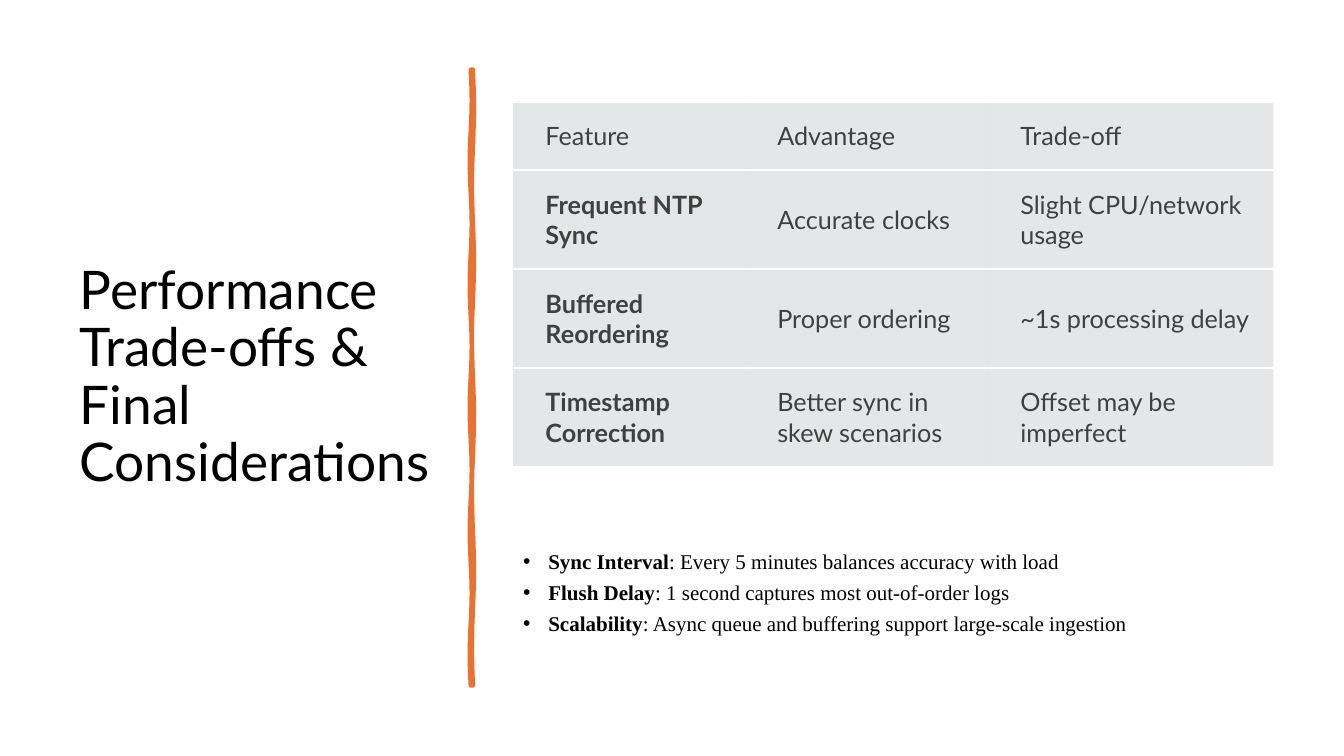
from math import pi, sin

from lxml import etree
from pptx import Presentation
from pptx.dml.color import RGBColor
from pptx.enum.text import MSO_ANCHOR, MSO_AUTO_SIZE, PP_ALIGN
from pptx.oxml import parse_xml
from pptx.oxml.ns import qn
from pptx.util import Inches, Pt

BLACK = RGBColor(0x00, 0x00, 0x00)
GREY = RGBColor(0x40, 0x40, 0x40)
ORANGE = RGBColor(0xE9, 0x71, 0x32)
SILVER = RGBColor(0xB4, 0xBC, 0xBE)
MIDDLE, TOP = MSO_ANCHOR.MIDDLE, MSO_ANCHOR.TOP
LEFT = PP_ALIGN.LEFT
NO_FIT = MSO_AUTO_SIZE.NONE
NS = "http://schemas.openxmlformats.org/drawingml/2006/main"

ROWS = [
    ("Feature", "Advantage", "Trade-off"),
    ("Frequent NTP Sync", "Accurate clocks", "Slight CPU/network usage"),
    ("Buffered Reordering", "Proper ordering", "~1s processing delay"),
    ("Timestamp Correction", "Better sync in skew scenarios",
     "Offset may be imperfect"),
]
NOTES = [
    ("Sync Interval", "Every 5 minutes balances accuracy with load"),
    ("Flush Delay", "1 second captures most out-of-order logs"),
    ("Scalability",
     "Async queue and buffering support large-scale ingestion"),
]


def assign(item, values):
    for key, value in values.items():
        setattr(item, key, value)


def add_run(para, text, name, size, color, bold=False):
    run = para.add_run()
    run.text = text
    assign(run.font, {"name": name, "size": Pt(size), "bold": bold})
    run.font.color.rgb = color


def add_title(slide, box):
    title = slide.shapes.title
    assign(title, dict(zip(("left", "top", "width", "height"),
                           map(Inches, box))))
    frame = title.text_frame
    assign(frame, {"vertical_anchor": MIDDLE, "word_wrap": True,
                   "auto_size": NO_FIT})
    para = frame.paragraphs[0]
    assign(para, {"alignment": LEFT, "line_spacing": 0.9})
    add_run(para, "Performance Trade-offs & Final Considerations",
            "Lato", 38, BLACK)


def add_rule(slide, box):
    """Hand-drawn upright bar: two gently waving edges."""
    left, top, width, height = box
    steps = 60

    def edge(x, waves):
        return [(x + 0.01 * sin(2 * pi * waves * i / steps),
                 top + height * i / steps) for i in range(steps + 1)]

    points = edge(left, 5) + edge(left + width, 4)[::-1]
    pen = slide.shapes.build_freeform(
        Inches(points[0][0]), Inches(points[0][1]))
    pen.add_line_segments([(Inches(x), Inches(y)) for x, y in points[1:]])
    bar = pen.convert_to_shape()
    bar.shadow.inherit = False
    bar.fill.solid()
    bar.fill.fore_color.rgb = ORANGE
    bar.line.color.rgb = ORANGE
    bar.line.width = Pt(3.25)


def style_cell(cell):
    assign(cell, {"vertical_anchor": MIDDLE, "margin_left": Inches(0.32),
                  "margin_top": Inches(0.17), "margin_right": Inches(0.17),
                  "margin_bottom": Inches(0.17)})
    cell.fill.solid()
    cell.fill.fore_color.rgb = SILVER
    props = cell._tc.get_or_add_tcPr()
    # Translucent fill
    tint = props.find(".//" + qn("a:srgbClr"))
    etree.SubElement(tint, qn("a:alpha"), val="35000")
    # White lines above and below, none at the sides
    white = '<a:solidFill><a:srgbClr val="FFFFFF"/></a:solidFill>'
    sides = [("lnL", "<a:noFill/>"), ("lnR", "<a:noFill/>"),
             ("lnT", white), ("lnB", white)]
    for i, (tag, paint) in enumerate(sides):
        props.insert(i, parse_xml(
            f'<a:{tag} xmlns:a="{NS}" w="{Pt(1.5)}">{paint}</a:{tag}>'))


def add_grid(slide, box):
    table = slide.shapes.add_table(
        len(ROWS), len(ROWS[0]), *map(Inches, box)).table
    assign(table, {"first_row": False, "horz_banding": False})
    for col, width in zip(table.columns, (2.3, 2.41, 2.83)):
        col.width = Inches(width)
    for row, height in zip(table.rows, (0.68, 0.98, 0.98, 0.98)):
        row.height = Inches(height)
    for r, texts in enumerate(ROWS):
        for c, text in enumerate(texts):
            cell = table.cell(r, c)
            style_cell(cell)
            add_run(cell.text_frame.paragraphs[0], text, "Lato", 18, GREY,
                    bold=r > 0 and c == 0)


def add_notes(slide, box):
    frame = slide.shapes.add_textbox(*map(Inches, box)).text_frame
    assign(frame, {"word_wrap": True, "auto_size": NO_FIT,
                   "vertical_anchor": TOP, "margin_top": Inches(0.36)})
    for i, (label, text) in enumerate(NOTES):
        para = frame.add_paragraph() if i else frame.paragraphs[0]
        assign(para, {"line_spacing": 0.9, "space_after": Pt(6)})
        add_run(para, label, "Times New Roman", 15, BLACK, bold=True)
        add_run(para, ": " + text, "Times New Roman", 15, BLACK)
        # Hanging bullet
        props = para._p.get_or_add_pPr()
        props.set("marL", str(Inches(0.25)))
        props.set("indent", str(-Inches(0.25)))
        etree.SubElement(props, qn("a:buFont"), typeface="Arial")
        etree.SubElement(props, qn("a:buChar"), char="•")


def main():
    deck = Presentation()
    assign(deck, {"slide_width": Inches(13.33), "slide_height": Inches(7.5)})
    slide = deck.slides.add_slide(deck.slide_layouts[5])
    add_title(slide, (0.69, 0.7, 3.74, 6.11))
    add_rule(slide, (4.67, 0.69, 0.02, 6.11))
    add_notes(slide, (5.09, 5.11, 7.54, 1.56))
    add_grid(slide, (5.09, 1.01, 7.54, 3.63))
    deck.save("out.pptx")


if __name__ == "__main__":
    main()
